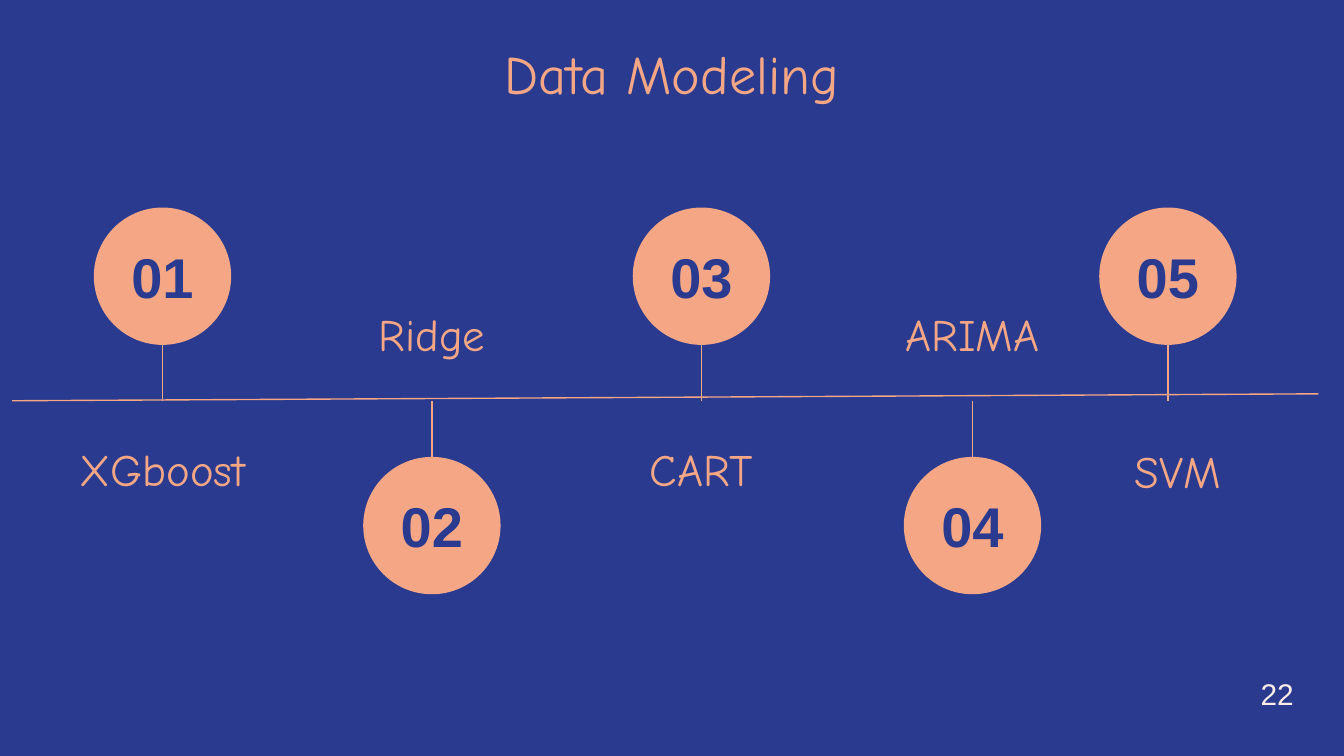
import pptx
import pptx.util
import pptx.dml.color
import pptx.enum.shapes
import pptx.enum.text
import pptx.oxml

Pt = pptx.util.Pt
ANCHOR = pptx.enum.text.MSO_ANCHOR
ALIGN = pptx.enum.text.PP_ALIGN

COLORS = {"navy": "293A8F", "peach": "F5A785", "cream": "FDEDE7"}
FORMATS = {
    "title": {"size": Pt(29), "name": "Comic Neue", "bold": False},
    "label": {"size": Pt(24), "name": "Comic Neue", "bold": False},
    "number": {"size": Pt(30), "name": "Arial", "bold": True},
    "page": {"size": Pt(16), "name": "Arial", "bold": False},
}

# Content: label, centre of circle, label shift, label top, label anchor
TITLE = "Data Modeling"
PAGE = "22"
MODELS = [
    ("XGboost", 87.1, 0, 239, ANCHOR.BOTTOM),
    ("Ridge", 231.4, 0, 157, ANCHOR.TOP),
    ("CART", 375.8, 0, 239, ANCHOR.BOTTOM),
    ("ARIMA", 521, 0, 157, ANCHOR.TOP),
    ("SVM", 625.7, 5.4, 230.4, ANCHOR.TOP),
]

# Geometry
DIAMETER = 73.6
UPPER_TOP, LOWER_TOP = 111.2, 244.8
AXIS_Y = 214.7
LABEL_W, LABEL_H = 123.1, 33.8


def rgb(name):
    return pptx.dml.color.RGBColor.from_string(COLORS[name])


def write(sp, text, style, color, align=ALIGN.CENTER, anchor=ANCHOR.TOP,
          inset=7.2, wrap=True):
    tf = sp.text_frame
    frame = {"word_wrap": wrap, "vertical_anchor": anchor,
             "auto_size": pptx.enum.text.MSO_AUTO_SIZE.NONE}
    for side in ("left", "right", "top", "bottom"):
        frame["margin_" + side] = Pt(inset)
    for key, value in frame.items():
        setattr(tf, key, value)
    p = tf.paragraphs[0]
    p.alignment = align
    r = p.add_run()
    r.text = text
    for key, value in FORMATS[style].items():
        setattr(r.font, key, value)
    r.font.color.rgb = rgb(color)


def add_line(s, x1, y1, x2, y2):
    line = s.shapes.add_connector(
        pptx.enum.shapes.MSO_CONNECTOR.STRAIGHT, Pt(x1), Pt(y1), Pt(x2), Pt(y2))
    line.line.color.rgb = rgb("peach")
    line.line.width = Pt(0.75)
    pptx.oxml.xmlchemy.OxmlElement  # effect list removes the theme shadow
    line._element.spPr.append(pptx.oxml.xmlchemy.OxmlElement("a:effectLst"))


def add_model(s, number, label, cx, shift, label_top, anchor):
    upper = number % 2 == 1
    top = UPPER_TOP if upper else LOWER_TOP
    # Numbered circle
    sp = s.shapes.add_shape(pptx.enum.shapes.MSO_SHAPE.OVAL, Pt(cx - DIAMETER / 2),
                            Pt(top), Pt(DIAMETER), Pt(DIAMETER))
    sp.shadow.inherit = False
    sp.fill.solid()
    sp.fill.fore_color.rgb = rgb("peach")
    sp.line.fill.background()
    write(sp, f"{number:02d}", "number", "navy", anchor=ANCHOR.MIDDLE, inset=0)
    # Stem between circle and axis
    edge = top + DIAMETER if upper else top
    add_line(s, cx, min(edge, AXIS_Y), cx, max(edge, AXIS_Y))
    # Label on the other side of the axis
    tb = s.shapes.add_textbox(Pt(cx + shift - LABEL_W / 2), Pt(label_top),
                              Pt(LABEL_W), Pt(LABEL_H))
    write(tb, label, "label", "peach", anchor=anchor)


def main():
    prs = pptx.Presentation()
    prs.slide_width, prs.slide_height = Pt(720), Pt(405)
    s = prs.slides.add_slide(prs.slide_layouts[5])
    s.background.fill.solid()
    s.background.fill.fore_color.rgb = rgb("navy")

    # Title
    title = s.shapes.title
    place = {"left": 28.1, "top": 14.4, "width": 663.8, "height": 59.8}
    for key, value in place.items():
        setattr(title, key, Pt(value))
    write(title, TITLE, "title", "peach")

    # Timeline
    add_line(s, 6.5, AXIS_Y, 706.3, 211)
    for number, model in enumerate(MODELS, 1):
        add_model(s, number, *model)

    # Page number
    tb = s.shapes.add_textbox(Pt(668.2), Pt(358.6), Pt(36), Pt(26.6))
    write(tb, PAGE, "page", "cream", align=ALIGN.LEFT)
    tb.text_frame.margin_top = tb.text_frame.margin_bottom = Pt(3.6)

    prs.save("out.pptx")


if __name__ == "__main__":
    main()
